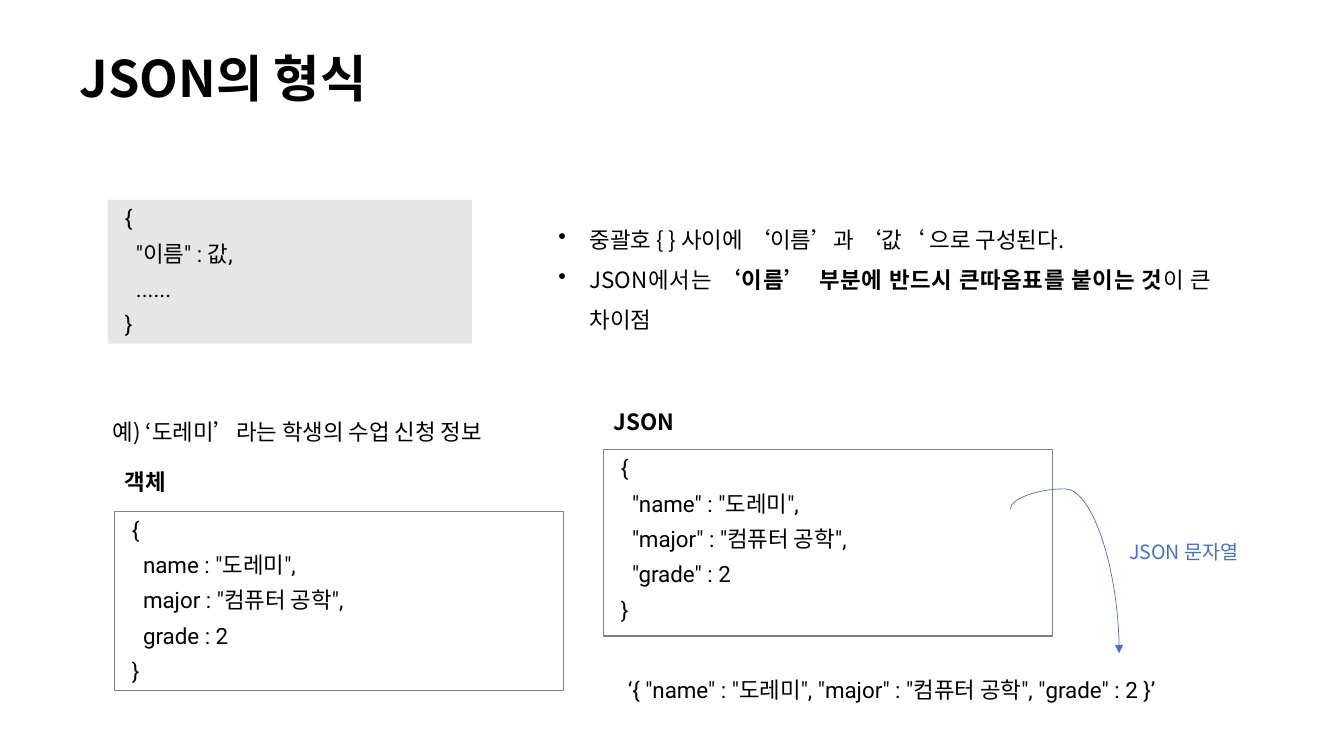
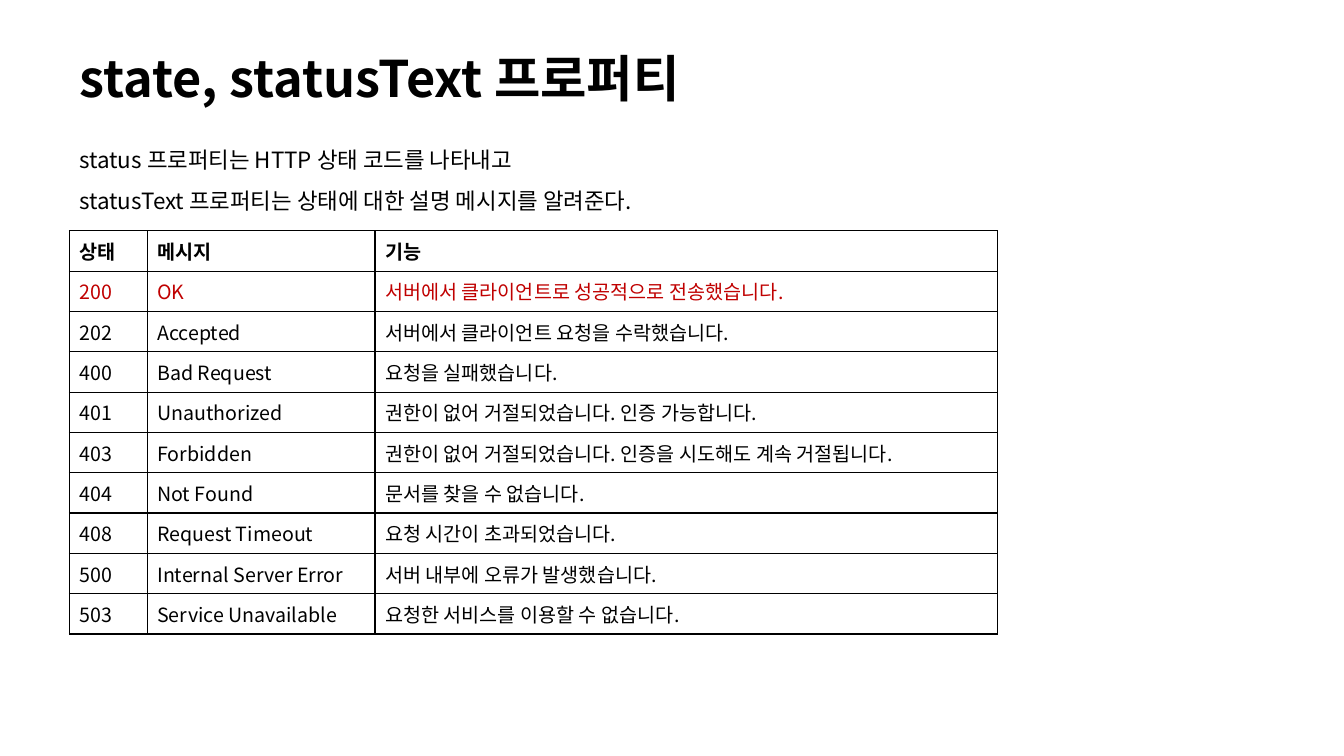
from lxml import etree
from pptx import Presentation
from pptx.dml.color import RGBColor
from pptx.enum.shapes import MSO_CONNECTOR, MSO_SHAPE
from pptx.enum.text import MSO_ANCHOR, PP_ALIGN
from pptx.oxml.ns import qn
from pptx.util import Inches, Pt

BLACK = RGBColor(0x00, 0x00, 0x00)
PALE_GRAY = RGBColor(0xE7, 0xE6, 0xE6)
GRAY = RGBColor(0x80, 0x80, 0x80)
BLUE = RGBColor(0x44, 0x72, 0xC4)
RED = RGBColor(0xC0, 0x00, 0x00)

BODY_FONT = "Noto Sans CJK KR"
CODE_FONT = "Roboto"

TOP, MIDDLE = MSO_ANCHOR.TOP, MSO_ANCHOR.MIDDLE
LEFT, JUSTIFY = PP_ALIGN.LEFT, PP_ALIGN.JUSTIFY
RECTANGLE, CURVE = MSO_SHAPE.RECTANGLE, MSO_CONNECTOR.CURVE


class Deck:
    """Holds the shared style and the current slide."""

    def __init__(self):
        self.prs = Presentation()
        self.prs.slide_width = Inches(13.33)
        self.prs.slide_height = Inches(7.5)
        self.slide = None

    def new_slide(self, title):
        self.slide = self.prs.slides.add_slide(self.prs.slide_layouts[6])
        self.text(0.69, 0.35, 9.74, 0.92, [title], size=36, bold=True,
                  anchor=MIDDLE, spacing=0.9)

    def format_run(self, r, size=16, font=BODY_FONT, color=BLACK, bold=False):
        r.font.size = Pt(size)
        r.font.name = font
        r.font.bold = bold
        r.font.color.rgb = color
        ea = etree.SubElement(r.font._element, qn("a:ea"))
        ea.set("typeface", BODY_FONT)

    def text(self, x, y, w, h, lines, anchor=TOP, spacing=None, **style):
        sp = self.slide.shapes.add_textbox(Inches(x), Inches(y), Inches(w), Inches(h))
        tf = sp.text_frame
        tf.word_wrap = True
        tf.vertical_anchor = anchor
        tf.text = "\n".join(lines)
        for p in tf.paragraphs:
            p.line_spacing = spacing
            for r in p.runs:
                self.format_run(r, **style)

    def bullets(self, x, y, w, h, items):
        """Parts of an item between ** marks are bold."""
        sp = self.slide.shapes.add_textbox(Inches(x), Inches(y), Inches(w), Inches(h))
        tf = sp.text_frame
        tf.word_wrap = True
        for i, item in enumerate(items):
            p = tf.add_paragraph() if i else tf.paragraphs[0]
            p.alignment = JUSTIFY
            p.line_spacing = 1.5
            pPr = p._p.get_or_add_pPr()
            pPr.set("marL", str(Inches(0.31)))
            pPr.set("indent", str(-Inches(0.31)))
            etree.SubElement(pPr, qn("a:buChar")).set("char", "•")
            for part, words in enumerate(item.split("**")):
                r = p.add_run()
                r.text = words
                self.format_run(r, bold=part % 2 == 1)

    def code_box(self, x, y, w, h, body, fill=None):
        """A box with the body lines indented between braces."""
        sp = self.slide.shapes.add_shape(RECTANGLE, Inches(x), Inches(y),
                                         Inches(w), Inches(h))
        sp.shadow.inherit = False
        if fill is None:
            sp.fill.background()
            sp.line.color.rgb = GRAY
            sp.line.width = Pt(0.75)
        else:
            sp.fill.solid()
            sp.fill.fore_color.rgb = fill
            sp.line.fill.background()
        tf = sp.text_frame
        tf.word_wrap = True
        tf.vertical_anchor = TOP
        tf.text = "\n".join(["{", *body, "}"])
        for p in tf.paragraphs:
            p.alignment = LEFT
            p.space_before = p.space_after = Pt(3)
            indent = 0.07 if p.text in "{}" else 0.18
            p._p.get_or_add_pPr().set("marL", str(Inches(indent)))
            for r in p.runs:
                self.format_run(r, font=CODE_FONT)

    def curved_arrow(self, x1, y1, x2, y2, bend):
        """An arrow that leaves upwards and arrives from above."""
        cx, cy = (x1 + x2) / 2, (y1 + y2) / 2
        half_w, half_h = (y2 - y1) / 2, (x2 - x1) / 2
        # Laid out sideways and mirrored, then turned by 270 degrees
        line = self.slide.shapes.add_connector(
            CURVE, Inches(cx + half_w), Inches(cy - half_h),
            Inches(cx - half_w), Inches(cy + half_h))
        line.line.color.rgb = BLUE
        line.line.width = Pt(0.5)
        spPr = line._element.spPr
        spPr.find(qn("a:xfrm")).set("rot", str(270 * 60000))
        geom = spPr.find(qn("a:prstGeom"))
        guides = geom.find(qn("a:avLst"))
        if guides is None:
            guides = etree.SubElement(geom, qn("a:avLst"))
        gd = etree.SubElement(guides, qn("a:gd"))
        gd.set("name", "adj1")
        gd.set("fmla", f"val {round(bend * 100000)}")
        etree.SubElement(spPr.find(qn("a:ln")), qn("a:tailEnd")).set("type", "triangle")
        etree.SubElement(spPr, qn("a:effectLst"))

    def table(self, x, y, widths, row_height, rows, marked_row):
        frame = self.slide.shapes.add_table(
            len(rows), len(widths), Inches(x), Inches(y),
            Inches(sum(widths)), Inches(row_height * len(rows)))
        table = frame.table
        table.first_row = table.horz_banding = False
        for column, width in zip(table.columns, widths):
            column.width = Inches(width)
        for i, row in enumerate(rows):
            for j, words in enumerate(row):
                cell = table.cell(i, j)
                cell.text = words
                cell.vertical_anchor = MIDDLE
                self.border(cell)
                cell.fill.background()
                self.format_run(cell.text_frame.paragraphs[0].runs[0], size=14,
                                color=RED if i == marked_row else BLACK, bold=i == 0)

    def border(self, cell):
        tcPr = cell._tc.get_or_add_tcPr()
        for side in ("lnL", "lnR", "lnT", "lnB"):
            ln = etree.SubElement(tcPr, qn(f"a:{side}"))
            ln.set("w", str(Pt(1)))
            fill = etree.SubElement(ln, qn("a:solidFill"))
            etree.SubElement(fill, qn("a:srgbClr")).set("val", str(BLACK))


def json_format(deck):
    deck.new_slide("JSON의 형식")

    # Syntax and rules
    deck.code_box(1.07, 1.98, 3.61, 1.43, ['"이름" : 값,', "......"], fill=PALE_GRAY)
    deck.bullets(5.44, 2.06, 6.67, 1.26, [
        "중괄호 { } 사이에 ‘이름’과 ‘값‘ 으로 구성된다.",
        "JSON에서는 **‘이름’  부분에 반드시 큰따옴표를 붙이는 것**이 큰 차이점",
    ])

    # Object and JSON side by side
    deck.text(1.02, 4.1, 6.67, 0.37, ["예) ‘도레미’라는 학생의 수업 신청 정보"])
    deck.text(1.14, 4.6, 1.41, 0.37, ["객체"], bold=True)
    deck.code_box(1.14, 5.07, 4.45, 1.78,
                  ['name : "도레미",', 'major : "컴퓨터 공학",', "grade : 2"])
    deck.text(5.99, 4, 1.41, 0.37, ["JSON"], bold=True)
    deck.code_box(5.99, 4.46, 4.45, 1.85,
                  ['"name" : "도레미",', '"major" : "컴퓨터 공학",', '"grade" : 2'])

    # JSON string
    deck.text(6.13, 6.66, 7.02, 0.37,
              ['‘{ "name" : "도레미", "major" : "컴퓨터 공학", "grade" : 2 }’'],
              font=CODE_FONT)
    deck.curved_arrow(10.02, 5.05, 11.1, 6.48, bend=-0.14)
    deck.text(11.1, 5.31, 1.41, 0.34, ["JSON 문자열"], size=14, color=BLUE)


def status_properties(deck):
    deck.new_slide("state, statusText 프로퍼티")
    deck.text(0.69, 1.27, 11.69, 0.86, [
        "status 프로퍼티는 HTTP 상태 코드를 나타내고",
        "statusText 프로퍼티는 상태에 대한 설명 메시지를 알려준다.",
    ], spacing=1.5)

    # Status codes
    deck.table(0.69, 2.29, [0.77, 2.26, 6.17], 0.4, [
        ("상태", "메시지", "기능"),
        ("200", "OK", "서버에서 클라이언트로 성공적으로 전송했습니다."),
        ("202", "Accepted", "서버에서 클라이언트 요청을 수락했습니다."),
        ("400", "Bad Request", "요청을 실패했습니다."),
        ("401", "Unauthorized", "권한이 없어 거절되었습니다. 인증 가능합니다."),
        ("403", "Forbidden",
         "권한이 없어 거절되었습니다. 인증을 시도해도 계속 거절됩니다."),
        ("404", "Not Found", "문서를 찾을 수 없습니다."),
        ("408", "Request Timeout", "요청 시간이 초과되었습니다."),
        ("500", "Internal Server Error", "서버 내부에 오류가 발생했습니다."),
        ("503", "Service Unavailable", "요청한 서비스를 이용할 수 없습니다."),
    ], marked_row=1)


def main():
    deck = Deck()
    json_format(deck)
    status_properties(deck)
    deck.prs.save("out.pptx")


if __name__ == "__main__":
    main()
